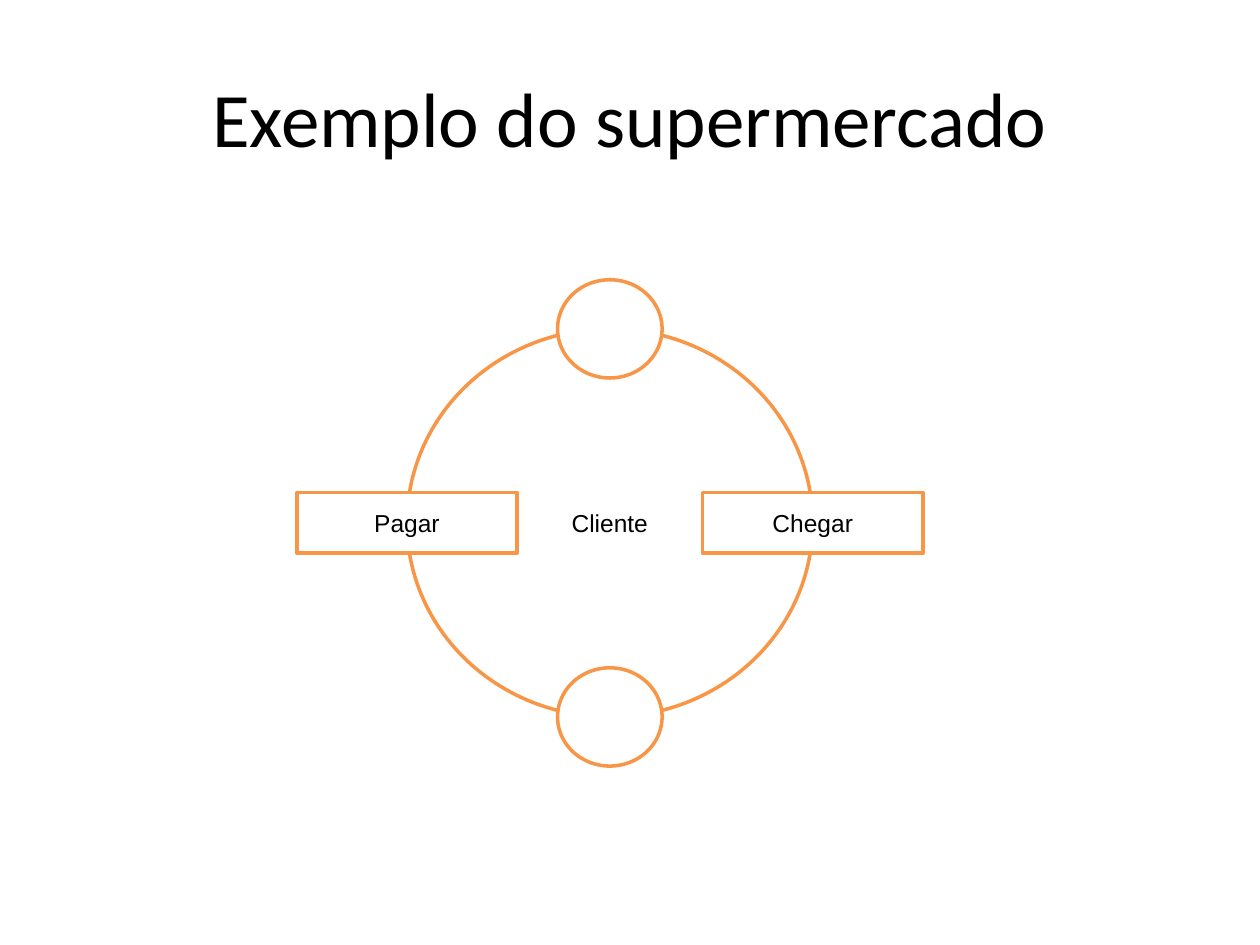
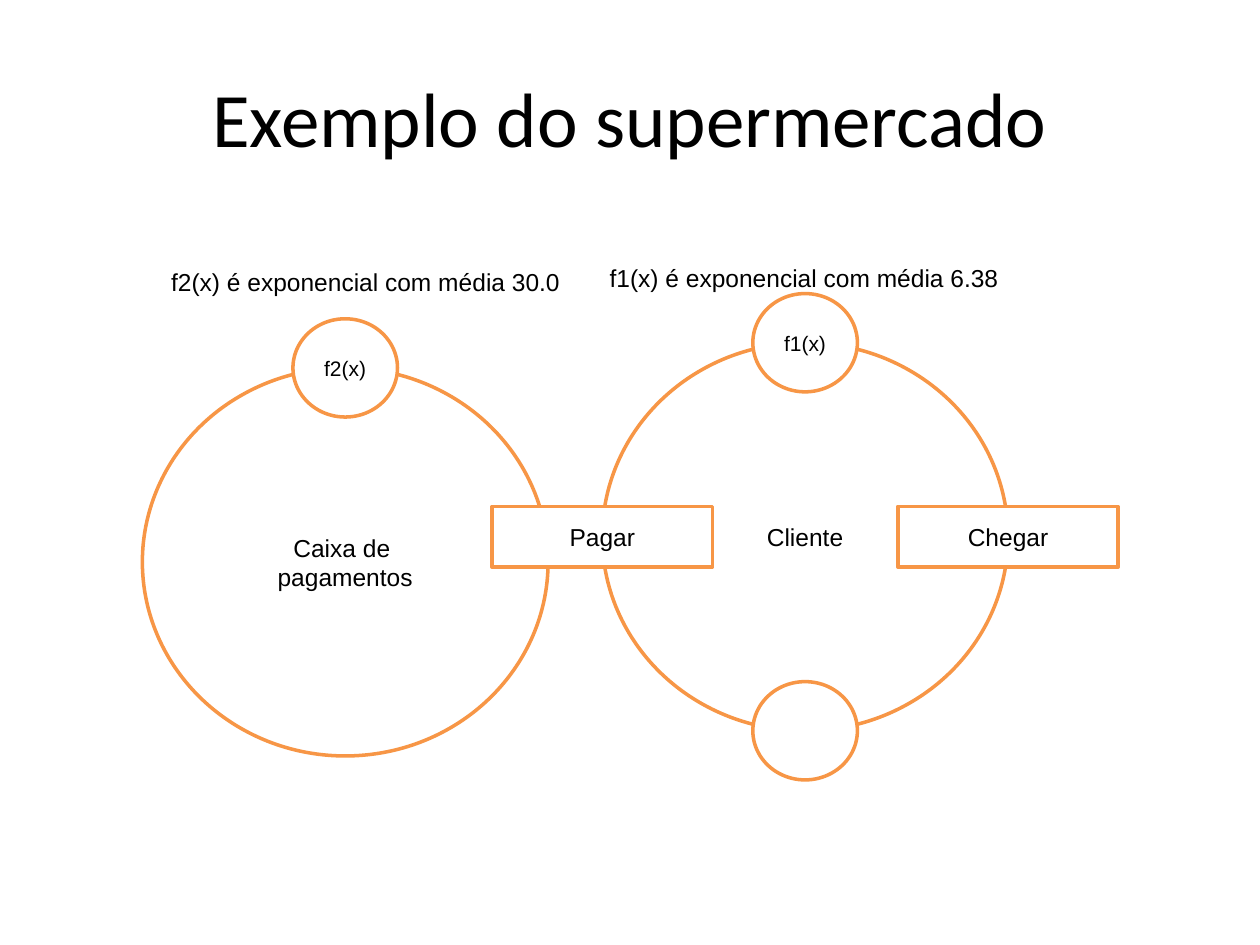
from pptx import Presentation
from pptx.dml.color import RGBColor
from pptx.enum import shapes, text
from pptx.util import Inches, Pt

TITLE = "Exemplo do supermercado"

# Each cycle: centre of its ring, label, and the stations on the ring,
# listed from back to front as (side, kind, label).
SLIDES = [
    {
        "cycles": [
            {"center": (4.84, 4.15), "label": "Cliente", "stations": [
                ("right", "activity", "Chegar"),
                ("left", "activity", "Pagar"),
                ("bottom", "queue", ""),
                ("top", "queue", "")]},
        ],
        "notes": [],
    },
    {
        "cycles": [
            {"center": (2.74, 4.46), "label": "Caixa de \npagamentos", "stations": [
                ("top", "queue", "f2(x)")]},
            {"center": (6.39, 4.26), "label": "Cliente", "stations": [
                ("right", "activity", "Chegar"),
                ("left", "activity", "Pagar"),
                ("bottom", "queue", ""),
                ("top", "queue", "f1(x)")]},
        ],
        "notes": [
            ((4.74, 2.04), "f1(x) é exponencial com média 6.38"),
            ((1.26, 2.07), "f2(x) é exponencial com média 30.0"),
        ],
    },
]

COLORS = {"text": "000000", "fill": "FFFFFF", "outline": "F79646"}
OVAL, RECTANGLE = shapes.MSO_SHAPE.OVAL, shapes.MSO_SHAPE.RECTANGLE
# kind: (preset, width, height, text size)
KINDS = {
    "ring": (OVAL, 3.22, 3.08, 14),
    "activity": (RECTANGLE, 1.75, 0.48, 14),
    "queue": (OVAL, 0.83, 0.78, 12),
}
SIDES = {"right": (1, 0), "left": (-1, 0), "bottom": (0, 1), "top": (0, -1)}
CENTER, LEFT = text.PP_ALIGN.CENTER, text.PP_ALIGN.LEFT


def color(name):
    return RGBColor.from_string(COLORS[name])


def write(frame, words, size, font="Arial", align=CENTER):
    frame.text = words
    for paragraph in frame.paragraphs:
        paragraph.alignment = align
        paragraph.font.name = font
        paragraph.font.size = Pt(size)
        paragraph.font.color.rgb = color("text")


def add_title(slide):
    box = slide.shapes.add_textbox(Inches(0.5), Inches(0.3), Inches(9), Inches(1.25))
    frame = box.text_frame
    frame.word_wrap = True
    frame.vertical_anchor = text.MSO_ANCHOR.MIDDLE
    write(frame, TITLE, 44, "Calibri")


def add_node(slide, kind, x, y, label):
    """Draw one outlined shape centred on (x, y)."""
    preset, width, height, size = KINDS[kind]
    node = slide.shapes.add_shape(preset, Inches(x - width / 2), Inches(y - height / 2),
                                  Inches(width), Inches(height))
    node.shadow.inherit = False
    node.fill.solid()
    node.fill.fore_color.rgb = color("fill")
    node.line.color.rgb = color("outline")
    node.line.width = Pt(2)
    if label:
        node.text_frame.vertical_anchor = text.MSO_ANCHOR.MIDDLE
        write(node.text_frame, label, size)


def add_cycle(slide, cycle):
    x, y = cycle["center"]
    _, width, height, _ = KINDS["ring"]
    add_node(slide, "ring", x, y, cycle["label"])
    for side, kind, label in cycle["stations"]:
        dx, dy = SIDES[side]
        add_node(slide, kind, x + dx * width / 2, y + dy * height / 2, label)


def add_note(slide, position, words):
    left, top = position
    box = slide.shapes.add_textbox(Inches(left), Inches(top), Inches(3.3), Inches(0.34))
    box.text_frame.word_wrap = False
    box.text_frame.auto_size = text.MSO_AUTO_SIZE.SHAPE_TO_FIT_TEXT
    write(box.text_frame, words, 14, align=LEFT)


def main():
    deck = Presentation()
    deck.slide_width, deck.slide_height = Inches(10), Inches(7.5)
    for content in SLIDES:
        slide = deck.slides.add_slide(deck.slide_layouts[6])
        add_title(slide)
        for cycle in content["cycles"]:
            add_cycle(slide, cycle)
        for position, words in content["notes"]:
            add_note(slide, position, words)
    deck.save("out.pptx")


if __name__ == "__main__":
    main()
